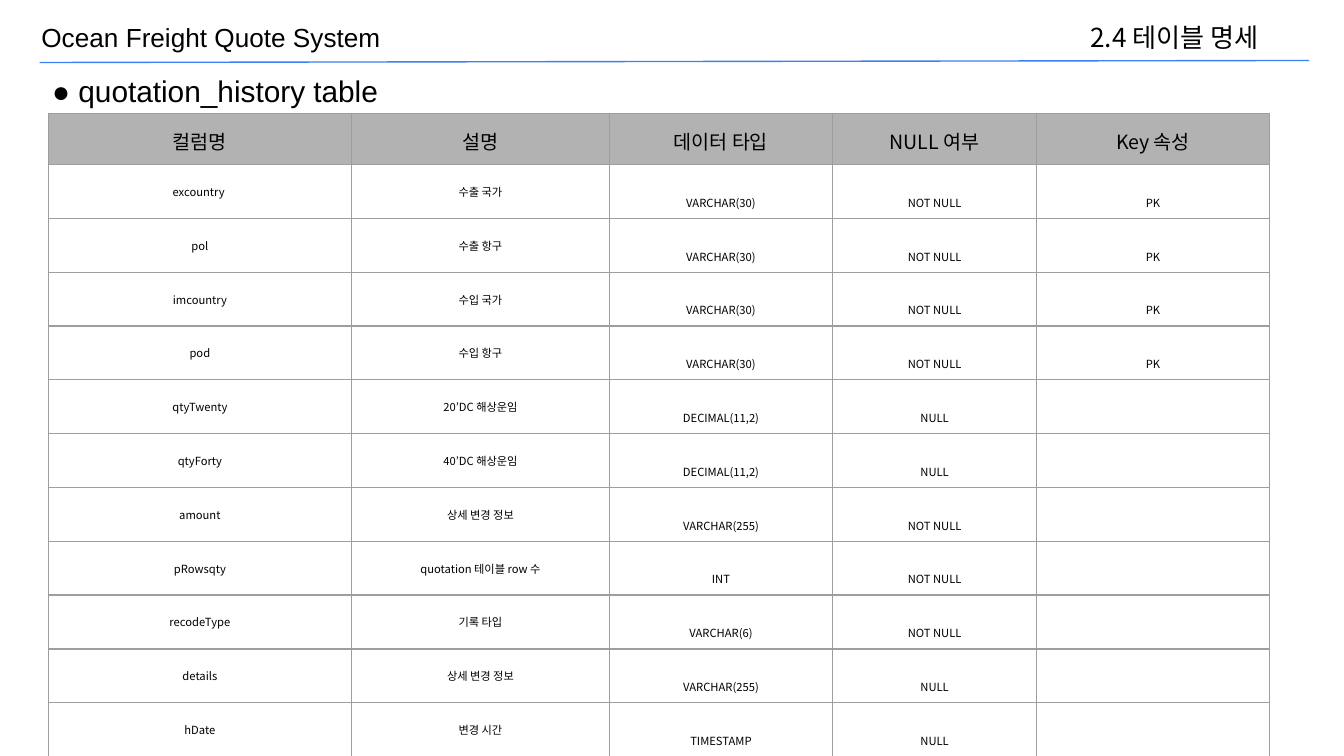
from typing import NamedTuple

from lxml import etree
from pptx import Presentation
from pptx.dml.color import RGBColor
from pptx.enum.shapes import MSO_CONNECTOR
from pptx.enum.text import MSO_ANCHOR, MSO_AUTO_SIZE, PP_ALIGN
from pptx.oxml.ns import qn
from pptx.util import Emu, Pt

CENTER, LEFT = PP_ALIGN.CENTER, PP_ALIGN.LEFT
TOP, MIDDLE = MSO_ANCHOR.TOP, MSO_ANCHOR.MIDDLE
STRAIGHT = MSO_CONNECTOR.STRAIGHT
FIT_SHAPE, NO_FIT = MSO_AUTO_SIZE.SHAPE_TO_FIT_TEXT, MSO_AUTO_SIZE.NONE

EMU_PER_PX = 4572  # 200 px to the inch
COLORS = {"text": "000000", "rule": "3C81F3", "header": "B2B2B2", "border": "9E9E9E"}
LATIN, KOREAN = "Arial", "Noto Sans CJK KR"
PADDING = 20
COLUMN_WIDTHS = (451, 384, 332, 304, 346)
HEADER_HEIGHT, ROW_HEIGHT = 76, 80


class Column(NamedTuple):
    name: str
    description: str
    data_type: str
    nullable: str
    key: str = ""


class Heading(NamedTuple):
    text: str
    left: int
    top: int
    width: int
    height: int
    size: float
    font: str
    wrap: bool
    spacing: float = 1.0


HEADER = Column("컬럼명", "설명", "데이터 타입", "NULL 여부", "Key 속성")
COLUMNS = (
    Column("excountry ", "수출 국가", "VARCHAR(30)", "NOT NULL", "PK"),
    Column("pol", "수출 항구", "VARCHAR(30)", "NOT NULL", "PK"),
    Column("imcountry", "수입 국가", "VARCHAR(30)", "NOT NULL", "PK"),
    Column("pod", "수입 항구", "VARCHAR(30)", "NOT NULL", "PK"),
    Column("qtyTwenty", "20’DC 해상운임", "DECIMAL(11,2)", "NULL"),
    Column("qtyForty", "40’DC 해상운임", "DECIMAL(11,2)", "NULL"),
    Column("amount", "상세 변경 정보", "VARCHAR(255)", "NOT NULL"),
    Column("pRowsqty", "quotation 테이블 row 수", "INT", "NOT NULL"),
    Column("recodeType", "기록 타입", "VARCHAR(6)", "NOT NULL"),
    Column("details", "상세 변경 정보", "VARCHAR(255)", "NULL"),
    Column("hDate", "변경 시간", "TIMESTAMP", "NULL"),
)
HEADINGS = (
    Heading("Ocean Freight Quote System", 42, 22, 548, 68, 14, LATIN, False),
    Heading("2.4 테이블 명세", 603, 21, 346, 72, 14, KOREAN, True, 0.8)._replace(left=1603),
    Heading("● quotation_history table", 58, 98, 532, 74, 16, LATIN, False),
)


def px(value: int) -> Emu:
    return Emu(value * EMU_PER_PX)


def color(key: str) -> RGBColor:
    return RGBColor.from_string(COLORS[key])


def write(frame, text: str, *, size: float, font: str = KOREAN,
          align=LEFT, spacing: float = 1.0) -> None:
    paragraph = frame.paragraphs[0]
    paragraph.alignment = align
    paragraph.line_spacing = spacing
    if not text:
        # An empty cell keeps the small size, so its row does not grow
        etree.SubElement(paragraph._p, qn("a:endParaRPr"), sz=str(int(size * 100)))
        return
    run = paragraph.add_run()
    run.text = text
    run.font.size = Pt(size)
    run.font.color.rgb = color("text")
    run.font.name = font
    etree.SubElement(run._r.get_or_add_rPr(), qn("a:ea"), typeface=font)


def draw_heading(slide, heading: Heading) -> None:
    box = slide.shapes.add_textbox(px(heading.left), px(heading.top),
                                   px(heading.width), px(heading.height))
    frame = box.text_frame
    frame.word_wrap = heading.wrap
    frame.auto_size = NO_FIT if heading.wrap else FIT_SHAPE
    if heading.wrap:
        frame.margin_top = frame.margin_bottom = px(PADDING)
    frame.margin_left = frame.margin_right = px(PADDING)
    write(frame, heading.text, size=heading.size, font=heading.font,
          spacing=heading.spacing)


def draw_rule(slide) -> None:
    rule = slide.shapes.add_connector(STRAIGHT, px(59), px(93), px(1948), px(90))
    rule.line.color.rgb = color("rule")
    rule.line.width = Pt(0.75)
    etree.SubElement(rule._element.spPr, qn("a:effectLst"))


def set_borders(cell) -> None:
    properties = cell._tc.get_or_add_tcPr()
    for side in ("lnL", "lnR", "lnT", "lnB"):
        border = etree.SubElement(properties, qn(f"a:{side}"), w=str(Pt(0.75)))
        fill = etree.SubElement(border, qn("a:solidFill"))
        etree.SubElement(fill, qn("a:srgbClr"), val=COLORS["border"])


def draw_cell(cell, text: str, is_header: bool, is_label: bool) -> None:
    cell.margin_left = cell.margin_right = px(PADDING)
    cell.margin_top = cell.margin_bottom = px(PADDING)
    set_borders(cell)
    if is_header:
        cell.fill.solid()
        cell.fill.fore_color.rgb = color("header")
    else:
        cell.fill.background()
    cell.vertical_anchor = MIDDLE if is_label and not is_header else TOP
    single = is_header or is_label or not text
    write(cell.text_frame, text, size=10.5 if is_header else 6,
          align=CENTER, spacing=1.0 if single else 2.0)


def draw_table(slide) -> None:
    rows = (HEADER, *COLUMNS)
    height = HEADER_HEIGHT + ROW_HEIGHT * len(COLUMNS)
    table = slide.shapes.add_table(len(rows), len(COLUMN_WIDTHS), px(72), px(169),
                                   px(sum(COLUMN_WIDTHS)), px(height)).table
    table.first_row = table.horz_banding = False
    for column, width in zip(table.columns, COLUMN_WIDTHS):
        column.width = px(width)
    for r, values in enumerate(rows):
        table.rows[r].height = px(ROW_HEIGHT if r else HEADER_HEIGHT)
        for c, text in enumerate(values):
            draw_cell(table.cell(r, c), text, is_header=r == 0, is_label=c < 2)


def main() -> None:
    deck = Presentation()
    deck.slide_width, deck.slide_height = px(2000), px(1125)
    slide = deck.slides.add_slide(deck.slide_layouts[6])

    # Page header and table title
    draw_rule(slide)
    for heading in HEADINGS:
        draw_heading(slide, heading)

    # Column specification
    draw_table(slide)

    deck.save("out.pptx")


if __name__ == "__main__":
    main()
